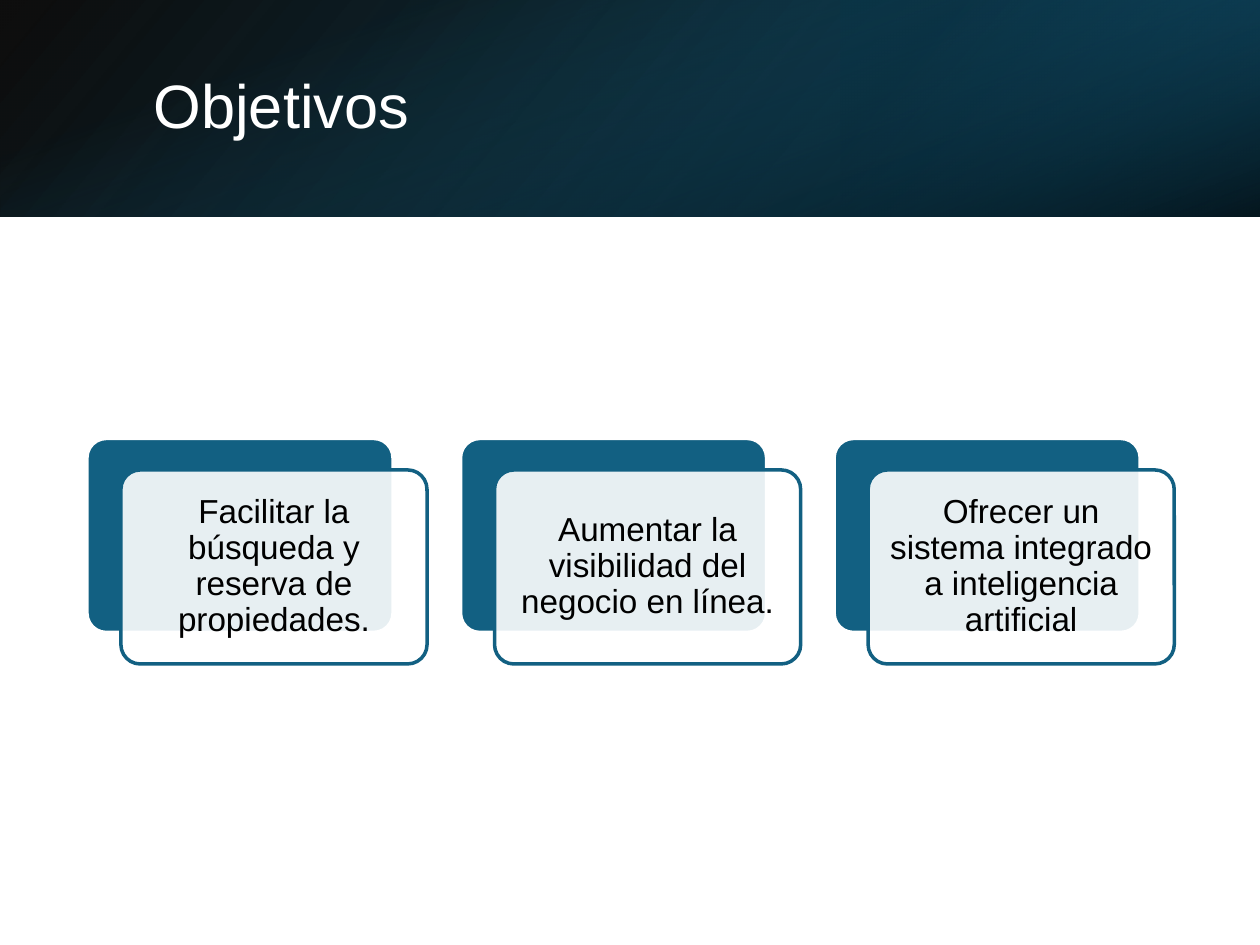
"""Builds the objectives slide: a gradient banner with a title and three layered cards."""
from lxml.etree import SubElement
from pptx import Presentation
from pptx.dml.color import RGBColor
from pptx.enum.shapes import MSO_SHAPE
from pptx.enum.text import MSO_ANCHOR, PP_ALIGN
from pptx.oxml.ns import qn
from pptx.util import Inches, Pt

TITLE = "Objetivos"
OBJECTIVES = [
    "Facilitar la búsqueda y reserva de propiedades.",
    "Aumentar la visibilidad del negocio en línea.",
    "Ofrecer un sistema integrado a inteligencia artificial",
]
COLORS = {
    "white": "FFFFFF", "black": "000000", "card": "126082",
    "accent": "156082", "deep": "0F4861", "navy": "0A3041",
}
BANNER_LAYERS = [
    {"at": (0, 0, 10, 1.72), "rotation": 0, "flip": True, "angle": 140,
     "stops": [(0, "black", 95), (100, "deep", 100)]},
    {"at": (6.67, 0, 3.33, 1.72), "rotation": 180, "flip": True, "angle": 320,
     "stops": [(0, "navy", 67), (19, "navy", 67), (100, "accent", 78)]},
    {"at": (4.14, -4.14, 1.72, 10), "rotation": 90, "flip": False, "angle": 340,
     "stops": [(0, "accent", 0), (23, "accent", 0), (99, "black", 73), (100, "black", 73)]},
]
FONT = "Arial"
CARD_LEFT, CARD_TOP, CARD_WIDTH, CARD_HEIGHT = 0.69, 3.48, 2.43, 1.54
CARD_PITCH, OFFSET_X, OFFSET_Y = 2.965, 0.27, 0.25


def rgb(name):
    return RGBColor.from_string(COLORS[name])


def set_alpha(color_element, percent):
    SubElement(color_element, qn("a:alpha")).set("val", str(percent * 1000))


def fill_gradient(shape, stops, angle):
    shape.fill.background()
    properties = shape.element.spPr
    no_fill = properties.find(qn("a:noFill"))
    gradient = SubElement(properties, qn("a:gradFill"), rotWithShape="1")
    properties.replace(no_fill, gradient)
    stop_list = SubElement(gradient, qn("a:gsLst"))
    for position, color, alpha in stops:
        stop = SubElement(stop_list, qn("a:gs"), pos=str(position * 1000))
        set_alpha(SubElement(stop, qn("a:srgbClr"), val=COLORS[color]), alpha)
    SubElement(gradient, qn("a:lin"), ang=str(angle * 60000), scaled="0")


def add_banner_layer(page, layer):
    shape = page.shapes.add_shape(MSO_SHAPE.RECTANGLE, *map(Inches, layer["at"]))
    shape.shadow.inherit = False
    fill_gradient(shape, layer["stops"], layer["angle"])
    shape.line.fill.background()
    shape.rotation = layer["rotation"]
    if layer["flip"]:
        shape.element.spPr.xfrm.set("flipH", "1")


def add_card(group, left, top, fill, line):
    card = group.shapes.add_shape(
        MSO_SHAPE.ROUNDED_RECTANGLE,
        *map(Inches, (left, top, CARD_WIDTH, CARD_HEIGHT)))
    card.adjustments[0] = 0.1
    card.shadow.inherit = False
    card.fill.solid()
    card.fill.fore_color.rgb = rgb(fill)
    card.line.color.rgb = rgb(line)
    card.line.width = Pt(2)
    return card


def write_text(shape, text, size, color, alignment, insets):
    frame = shape.text_frame
    frame.word_wrap = True
    frame.vertical_anchor = MSO_ANCHOR.MIDDLE
    frame.margin_left = frame.margin_right = Inches(insets[0])
    frame.margin_top = frame.margin_bottom = Inches(insets[1])
    frame.text = text
    para = frame.paragraphs[0]
    para.alignment = alignment
    para.line_spacing = 0.9
    para.space_before = Pt(0)
    para.font.name = FONT
    para.font.size = Pt(size)
    para.font.color.rgb = rgb(color)


def main():
    deck = Presentation()
    deck.slide_width, deck.slide_height = Inches(10), Inches(7.5)
    page = deck.slides.add_slide(deck.slide_layouts[5])

    for layer in BANNER_LAYERS:
        add_banner_layer(page, layer)

    title = page.shapes.title
    title.left, title.top, title.width, title.height = map(Inches, (1.12, 0.38, 8.24, 0.96))
    write_text(title, TITLE, 35, "white", PP_ALIGN.LEFT, (0.1, 0.05))
    title.element.getparent().append(title.element)

    group = page.shapes.add_group_shape()
    for index, objective in enumerate(OBJECTIVES):
        left = CARD_LEFT + index * CARD_PITCH
        add_card(group, left, CARD_TOP, "card", "white")
        front = add_card(group, left + OFFSET_X, CARD_TOP + OFFSET_Y, "white", "card")
        set_alpha(front.element.spPr.find(qn("a:solidFill"))[0], 90)
        write_text(front, objective, 19, "black", PP_ALIGN.CENTER, (0.08, 0.08))

    deck.save("out.pptx")


if __name__ == "__main__":
    main()
